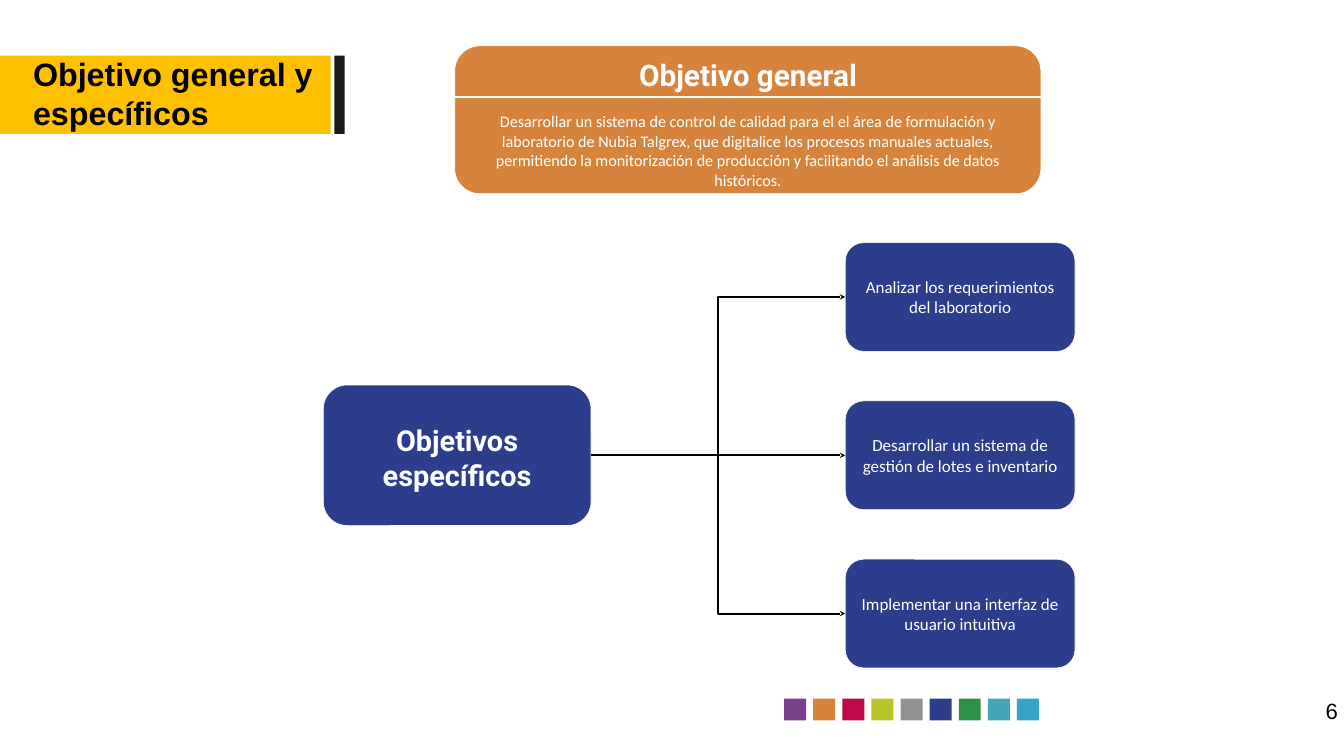
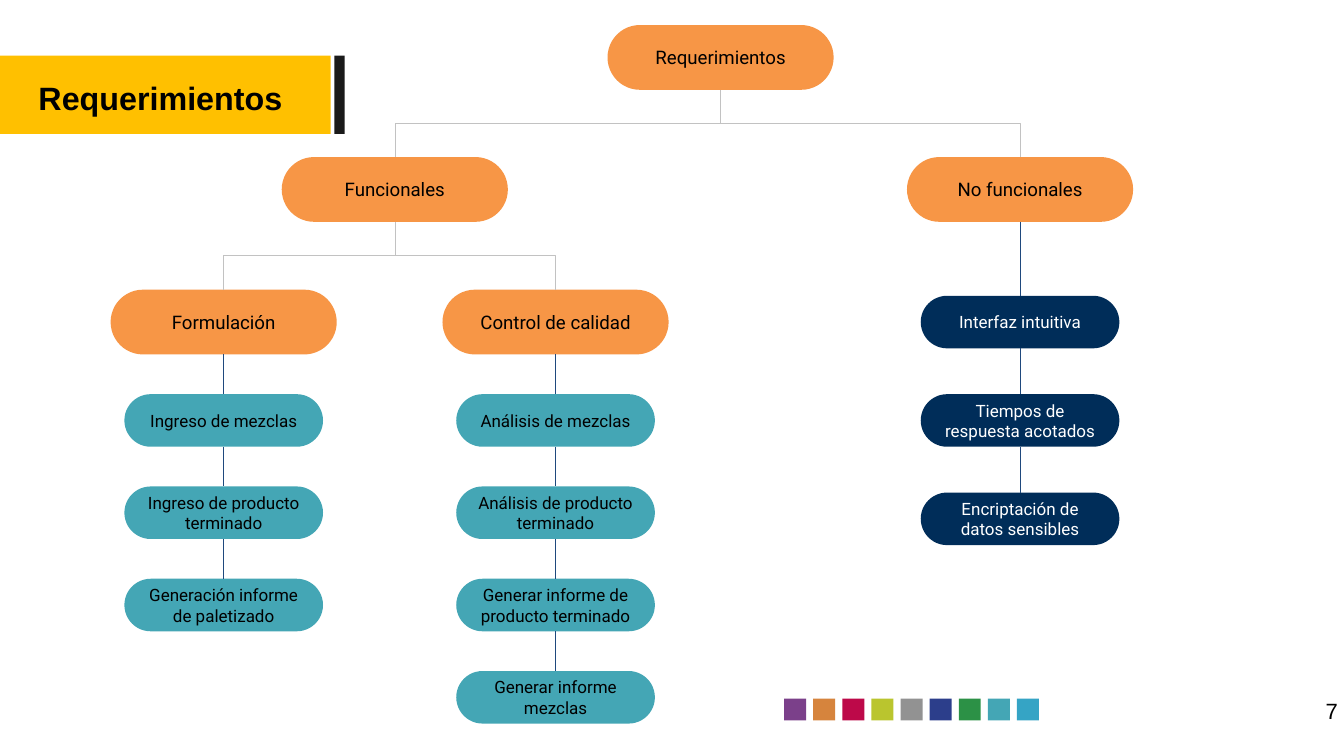
"""Build two slides: project objectives and a requirements tree."""
from lxml import etree
from pptx import Presentation
from pptx.dml.color import RGBColor
from pptx.enum.shapes import MSO_CONNECTOR, MSO_SHAPE
from pptx.enum.text import MSO_ANCHOR, MSO_AUTO_SIZE, PP_ALIGN
from pptx.oxml.ns import qn
from pptx.util import Inches, Pt

RECT, ROUND = MSO_SHAPE.RECTANGLE, MSO_SHAPE.ROUNDED_RECTANGLE
STRAIGHT, ELBOW = MSO_CONNECTOR.STRAIGHT, MSO_CONNECTOR.ELBOW
TOP, MIDDLE = MSO_ANCHOR.TOP, MSO_ANCHOR.MIDDLE
LEFT, CENTER, RIGHT = PP_ALIGN.LEFT, PP_ALIGN.CENTER, PP_ALIGN.RIGHT
NO_FIT = MSO_AUTO_SIZE.NONE

BLACK = RGBColor(0x00, 0x00, 0x00)
WHITE = RGBColor(0xFF, 0xFF, 0xFF)
YELLOW = RGBColor(0xFF, 0xC0, 0x00)
CHARCOAL = RGBColor(0x1A, 0x1A, 0x1A)
PURPLE = RGBColor(0x7B, 0x40, 0x8A)
OCHRE = RGBColor(0xD6, 0x84, 0x3D)
CRIMSON = RGBColor(0xBD, 0x09, 0x49)
LIME = RGBColor(0xBA, 0xC5, 0x2E)
GRAY = RGBColor(0x92, 0x92, 0x92)
BLUE = RGBColor(0x2C, 0x3E, 0x8B)
GREEN = RGBColor(0x2C, 0x91, 0x46)
TEAL = RGBColor(0x44, 0xA6, 0xB5)
SKY = RGBColor(0x35, 0xA4, 0xC5)
ORANGE = RGBColor(0xF7, 0x96, 0x46)
NAVY = RGBColor(0x00, 0x2D, 0x59)
BRANCH = RGBColor(0xC2, 0xC2, 0xC2)
STEM = RGBColor(0x1F, 0x49, 0x7D)


def add_box(sl, at, text="", size=20, font="Roboto", color=WHITE, fill=None, radius=0,
            bold=False, align=CENTER, inset=0.22, edge=None):
    """Add a filled shape, or a text box when no fill is given."""
    x, y, w, h = [Inches(v) for v in at]
    if fill is None:
        sp = sl.shapes.add_textbox(x, y, w, h)
    else:
        sp = sl.shapes.add_shape(ROUND if radius else RECT, x, y, w, h)
        sp.shadow.inherit = False
        sp.fill.solid()
        sp.fill.fore_color.rgb = fill
        if radius:
            sp.adjustments[0] = radius
        if edge is None:
            sp.line.fill.background()
        else:
            sp.line.color.rgb = edge
            sp.line.width = Pt(0.75)
    if text:
        tf = sp.text_frame
        tf.word_wrap = True
        tf.vertical_anchor = TOP if fill is None else MIDDLE
        tf.margin_left = tf.margin_right = tf.margin_top = tf.margin_bottom = Inches(inset)
        tf.text = text
        p = tf.paragraphs[0]
        p.alignment = align
        p.font.size, p.font.name, p.font.bold = Pt(size), font, bold
        p.font.color.rgb = color
    return sp


def add_link(sl, start, end, sides, color, width, kind=STRAIGHT, arrow=False):
    """Join two boxes; elbows that leave downwards are turned upright."""
    c = sl.shapes.add_connector(kind, 0, 0, 0, 0)
    c.begin_connect(start, sides[0])
    c.end_connect(end, sides[1])
    c.line.color.rgb = color
    c.line.width = Pt(width)
    if arrow:
        etree.SubElement(c.line._get_or_add_ln(), qn("a:tailEnd"), type="stealth")
    etree.SubElement(c.element.spPr, qn("a:effectLst"))
    if kind == ELBOW and sides[0] == 2:
        mid_x, mid_y = (c.begin_x + c.end_x) // 2, (c.begin_y + c.end_y) // 2
        rightward = c.end_x > c.begin_x
        w, h = c.height, c.width
        xfrm = c.element.spPr.find(qn("a:xfrm"))
        xfrm.attrib.clear()
        c.left, c.top, c.width, c.height = mid_x - w // 2, mid_y - h // 2, w, h
        xfrm.set("rot", "16200000" if rightward else "5400000")
        if rightward:
            xfrm.set("flipH", "1")


prs = Presentation()
prs.slide_width, prs.slide_height = Inches(21.99), Inches(12.37)
layout = prs.slide_layouts[5]

slides = []
for number, title, at in [
    (6, "Objetivo general y específicos", (0.54, 0.89, 4.75, 1.28)),
    (7, "Requerimientos", (0.63, 1.28, 4.75, 0.64)),
]:
    sl = prs.slides.add_slide(layout)
    if not slides:
        decor = [add_box(sl, (0, 0.91, 5.41, 1.28), fill=YELLOW),
                 add_box(sl, (5.47, 0.91, 0.17, 1.28), fill=CHARCOAL)]
        for i, fill in enumerate([PURPLE, OCHRE, CRIMSON, LIME, GRAY, BLUE, GREEN, TEAL, SKY]):
            decor.append(add_box(sl, (12.83 + 3.81 * i / 8, 11.43, 0.36, 0.36), fill=fill))
        for i, sp in enumerate(decor):
            sp.element.nvSpPr.cNvPr.set("id", str(100 + i))
            layout.shapes.element.insert(2 + i, sp.element)
    sp = sl.shapes.title
    sp.left, sp.top, sp.width, sp.height = [Inches(v) for v in at]
    tf = sp.text_frame
    tf.text = title
    tf.word_wrap, tf.auto_size, tf.vertical_anchor = True, NO_FIT, TOP
    tf.margin_left = tf.margin_right = tf.margin_top = tf.margin_bottom = 0
    p = tf.paragraphs[0]
    p.alignment = LEFT
    p.font.size, p.font.name, p.font.bold = Pt(38), "Arial", True
    p.font.color.rgb = BLACK
    add_box(sl, (20.57, 11.42, 1.32, 0.44), str(number), 26, "Arial", BLACK,
            align=RIGHT, inset=0)
    slides.append(sl)

sl = slides[0]
general = add_box(
    sl, (7.44, 0.75, 9.59, 2.42),
    "Desarrollar un sistema de control de calidad para el el área de formulación y "
    "laboratorio de Nubia Talgrex, que digitalice los procesos manuales actuales, "
    "permitiendo la monitorización de producción y facilitando el análisis de datos "
    "históricos.",
    19, "Calibri", fill=OCHRE, radius=0.17, inset=0.1, edge=WHITE)
tf = general.text_frame
tf.vertical_anchor = TOP
tf.margin_top, tf.margin_bottom = Inches(0.96), 0
add_box(sl, (9.6, 0.71, 5.28, 0.89), "Objetivo general", 35, bold=True)
rule = sl.shapes.add_connector(STRAIGHT, Inches(7.44), Inches(1.59), Inches(17.04), Inches(1.59))
rule.line.color.rgb = WHITE
rule.line.width = Pt(3)
etree.SubElement(rule.element.spPr, qn("a:effectLst"))

specific = add_box(sl, (5.29, 6.3, 4.38, 2.3), "Objetivos específicos", 34,
                   fill=BLUE, radius=0.17, bold=True, edge=WHITE)
specific.text_frame.margin_top = Inches(0.3)
for i, (text, kind) in enumerate([
    ("Analizar los requerimientos del laboratorio", ELBOW),
    ("Desarrollar un sistema de gestión de lotes e inventario", STRAIGHT),
    ("Implementar una interfaz de usuario intuitiva", ELBOW),
]):
    goal = add_box(sl, (13.83, 3.97 + 2.59 * i, 3.76, 1.78), text, 20, "Calibri",
                   fill=BLUE, radius=0.17, inset=0.1, edge=WHITE)
    add_link(sl, specific, goal, (3, 1), BLACK, 2.25, kind, arrow=True)

sl = slides[1]
groups = {}
for name, parent, x, y in [
    ("Requerimientos", None, 9.94, 0.41),
    ("Funcionales", "Requerimientos", 4.61, 2.57),
    ("No funcionales", "Requerimientos", 14.84, 2.57),
    ("Formulación", "Funcionales", 1.81, 4.74),
    ("Control de calidad", "Funcionales", 7.24, 4.74),
]:
    groups[name] = add_box(sl, (x, y, 3.7, 1.06), name, 22, color=BLACK,
                           fill=ORANGE, radius=0.5)
    if parent:
        add_link(sl, groups[parent], groups[name], (2, 0), BRANCH, 0.75, ELBOW)

for name, top, step, fill, color, items in [
    ("Formulación", 6.45, 1.51, TEAL, BLACK,
     ["Ingreso de mezclas", "Ingreso de producto terminado",
      "Generación informe de paletizado"]),
    ("Control de calidad", 6.45, 1.51, TEAL, BLACK,
     ["Análisis de mezclas", "Análisis de producto terminado",
      "Generar informe de producto terminado", "Generar informe mezclas"]),
    ("No funcionales", 4.84, 1.61, NAVY, WHITE,
     ["Interfaz intuitiva", "Tiempos de respuesta acotados",
      "Encriptación de datos sensibles"]),
]:
    above = groups[name]
    x = above.left.inches + (3.7 - 3.25) / 2
    for i, text in enumerate(items):
        item = add_box(sl, (x, top + step * i, 3.25, 0.86), text, color=color,
                       fill=fill, radius=0.5)
        add_link(sl, above, item, (2, 0), STEM, 0.75)
        above = item

prs.save("out.pptx")
